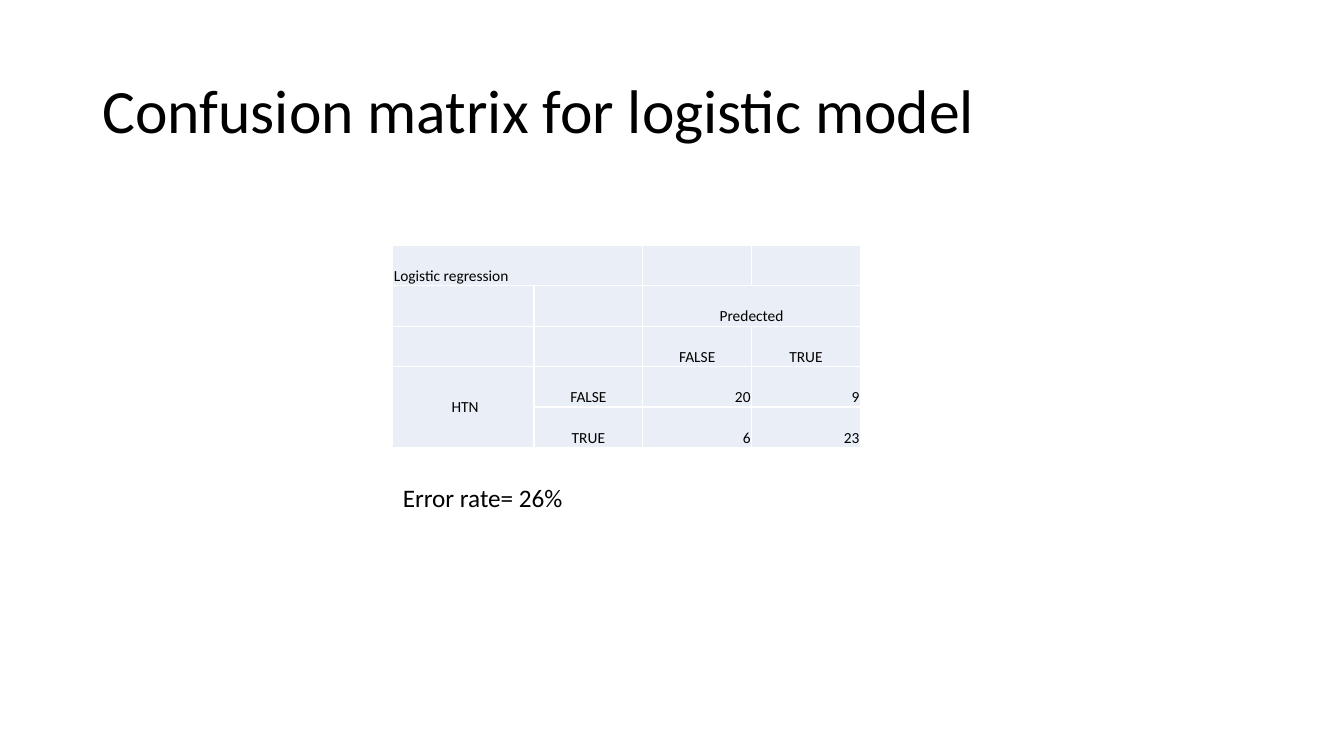
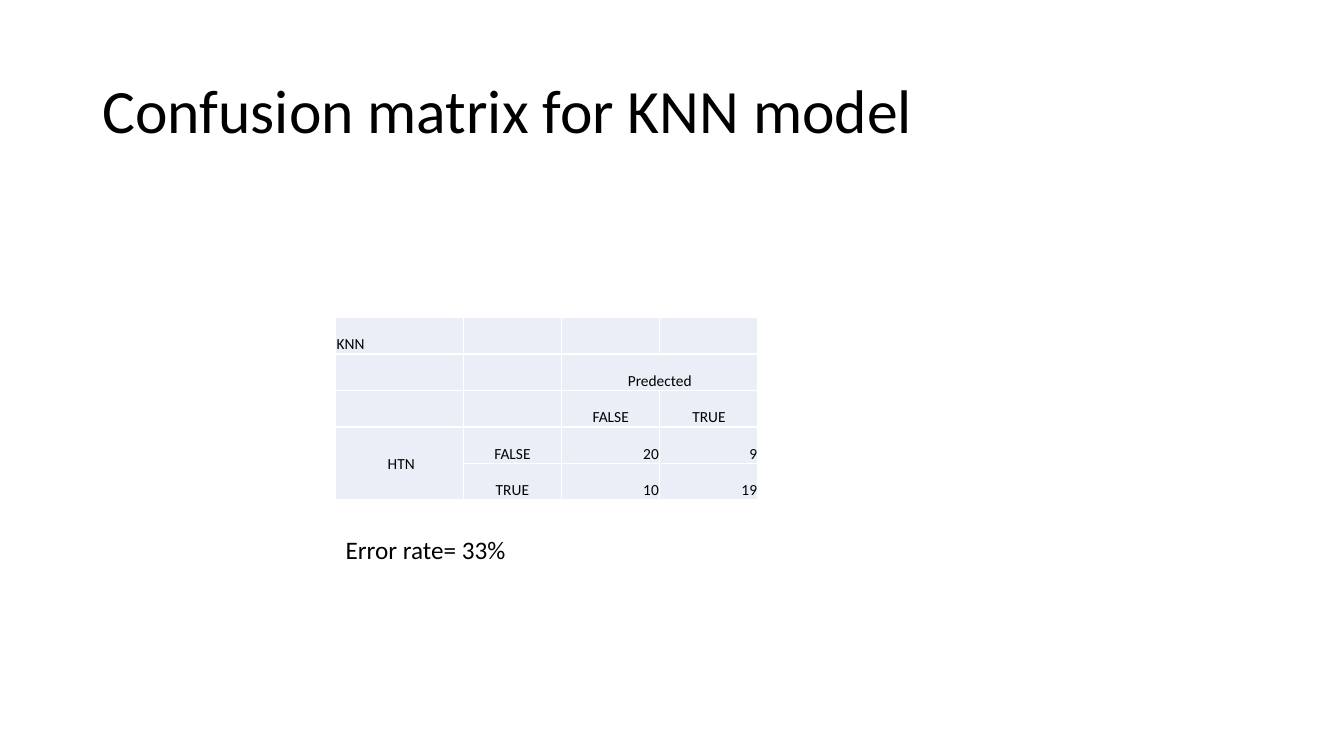
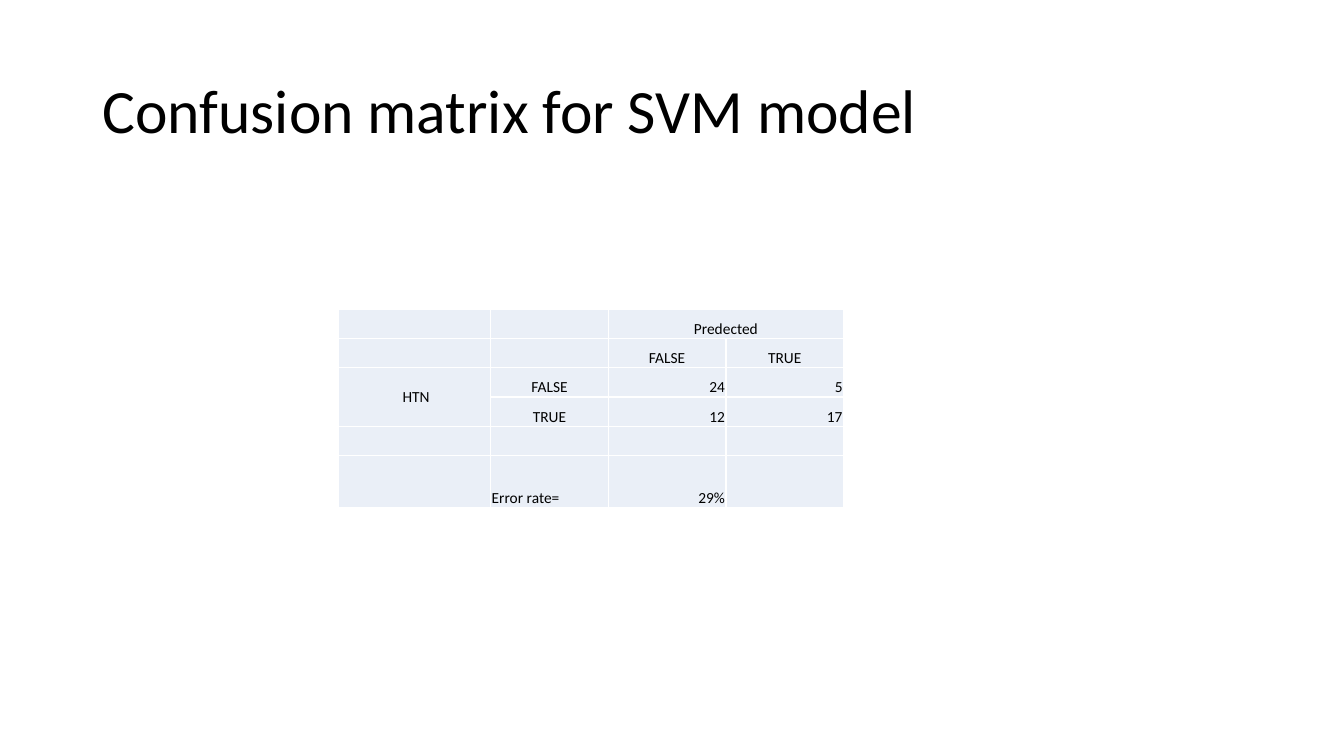
from pptx import Presentation
from pptx.dml.color import RGBColor
from pptx.enum.text import MSO_ANCHOR as Anchor, MSO_AUTO_SIZE as Fit, PP_ALIGN as Align
from pptx.oxml import parse_xml
from pptx.oxml.ns import nsdecls
from pptx.util import Pt

BLACK = RGBColor(0x00, 0x00, 0x00)
WHITE = RGBColor(0xFF, 0xFF, 0xFF)
PALE = RGBColor(0xEA, 0xEF, 0xF7)
FACE = "Calibri"
LABELS = {"Predected", "FALSE", "TRUE", " HTN"}
FIRST = 0.302
GAP = 21


def style(para, size):
    """Set the shared font on a paragraph."""
    font = para.font
    font.name, font.size, font.bold = FACE, Pt(size), False
    font.color.rgb = BLACK


def add_title(slide, text):
    """Place and format the slide title."""
    title = slide.shapes.title
    title.left, title.top = Pt(66), Pt(28.75)
    title.width, title.height = Pt(828), Pt(104.4)
    frame = title.text_frame
    frame.text = text
    frame.auto_size = Fit.NONE
    frame.vertical_anchor = Anchor.MIDDLE
    para = frame.paragraphs[0]
    para.alignment = Align.LEFT
    para.line_spacing = 0.9
    style(para, 44)


def add_edges(cell):
    """Draw a thin white line on each side of a cell."""
    props = cell._tc.get_or_add_tcPr()
    for side in ("lnL", "lnR", "lnT", "lnB"):
        props.append(parse_xml(
            f'<a:{side} {nsdecls("a")} w="{Pt(1)}"><a:solidFill>'
            f'<a:srgbClr val="{WHITE}"/></a:solidFill></a:{side}>'))


def fill_cell(cell, text):
    """Write and format one table cell."""
    add_edges(cell)
    cell.fill.solid()
    cell.fill.fore_color.rgb = PALE
    cell.margin_left = cell.margin_right = cell.margin_top = Pt(0.7)
    cell.margin_bottom = Pt(0)
    cell.vertical_anchor = Anchor.MIDDLE if text == " HTN" else Anchor.BOTTOM
    cell.text = text
    para = cell.text_frame.paragraphs[0]
    if text in LABELS:
        para.alignment = Align.CENTER
    elif text.rstrip("%").isdigit():
        para.alignment = Align.RIGHT
    else:
        para.alignment = Align.LEFT
    style(para, 11)


def add_matrix(slide, box, rows, last):
    """Fill a box with a confusion matrix whose last row may be taller."""
    left, top, width, high = box
    count = len(rows)
    table = slide.shapes.add_table(
        count, 4, Pt(left), Pt(top), Pt(width), Pt(high)).table
    table.first_row = table.horz_banding = False
    rest = (1 - FIRST) / 3
    for col, share in zip(table.columns, (FIRST, rest, rest, rest)):
        col.width = Pt(width * share)
    for num, row in enumerate(table.rows):
        row.height = Pt(last if num == count - 1 else (high - last) / (count - 1))
    for r, texts in enumerate(rows):
        for c, text in enumerate(texts):
            fill_cell(table.cell(r, c), text)
    for r, texts in enumerate(rows):
        for c, text in enumerate(texts):
            if text in ("Predected", "Logistic regression"):
                table.cell(r, c).merge(table.cell(r, c + 1))
            elif text == " HTN":
                table.cell(r, c).merge(table.cell(r + 1, c))


def add_note(slide, box, text):
    """Write the error rate below the matrix box."""
    left, top, _, high = box
    frame = slide.shapes.add_textbox(
        Pt(left), Pt(top + high + GAP), Pt(134), Pt(29)).text_frame
    frame.word_wrap = False
    frame.auto_size = Fit.SHAPE_TO_FIT_TEXT
    frame.text = text
    style(frame.paragraphs[0], 18)


def grid(false, true):
    """Return the rows that every matrix shares, with its counts."""
    return [
        ("", "", "Predected", ""),
        ("", "", "FALSE", "TRUE"),
        (" HTN", "FALSE", *false),
        ("", "TRUE", *true),
    ]


def add_model(deck, name, box, rows, last, note=None):
    """Build one model slide."""
    slide = deck.slides.add_slide(deck.slide_layouts[5])
    add_title(slide, f"Confusion matrix for {name} model")
    add_matrix(slide, box, rows, last)
    if note:
        add_note(slide, box, note)


def main():
    """Build and save the deck."""
    deck = Presentation()
    deck.slide_width, deck.slide_height = Pt(960), Pt(540)
    add_model(deck, "logistic", (280.6, 175.2, 334, 144.5),
              [("Logistic regression", "", "", "")]
              + grid(("20", "9"), ("6", "23")),
              28.9, "Error rate= 26%")
    add_model(deck, "KNN", (239.8, 226.8, 301.7, 130.5),
              [("KNN", "", "", "")] + grid(("20", "9"), ("10", "19")),
              26.1, "Error rate= 33%")
    add_model(deck, "SVM", (241.5, 221, 361, 141.6),
              grid(("24", "5"), ("12", "17"))
              + [("", "", "", ""), ("", "Error rate=", "29%", "")],
              37.2)
    deck.save("out.pptx")


if __name__ == "__main__":
    main()
